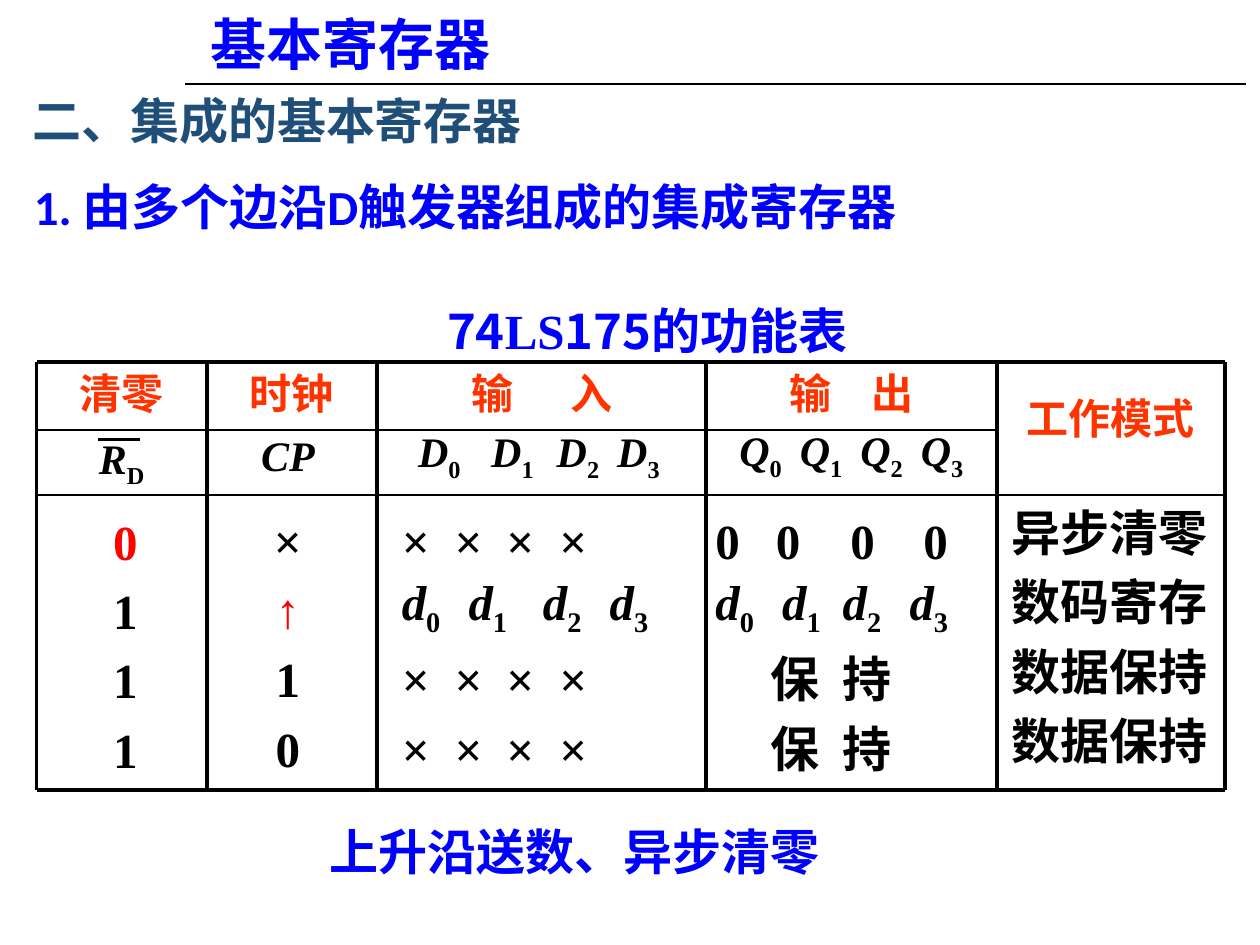
from dataclasses import dataclass
from lxml import etree
from pptx import Presentation
from pptx import util as u
from pptx.dml.color import RGBColor
from pptx.enum import shapes, text
from pptx.oxml import ns

"""Build the slide on integrated basic registers and their function table."""

SCALE = 9144
BLUE = RGBColor(0x00, 0x00, 0xFF)
NAVY = RGBColor(0x1F, 0x4E, 0x79)
ORANGE = RGBColor(0xFF, 0x33, 0x00)
RED = RGBColor(0xFF, 0x00, 0x00)
BLACK = RGBColor(0x00, 0x00, 0x00)
SERIF, SANS, LATIN = "Times New Roman", "Noto Sans CJK SC", "Calibri"
LEFT, CENTER = text.PP_ALIGN.LEFT, text.PP_ALIGN.CENTER
TOP, MIDDLE, BOTTOM = (
    text.MSO_ANCHOR.TOP, text.MSO_ANCHOR.MIDDLE, text.MSO_ANCHOR.BOTTOM)


@dataclass(frozen=True)
class Row:
    """One paragraph; cells sit on tab stops and "_" starts a subscript."""
    cells: tuple[str, ...]
    stops: tuple[int, ...] = ()
    color: RGBColor = BLACK
    italic: bool = False


@dataclass(frozen=True)
class Block:
    """One text box with its rows and shared type style."""
    left: int
    top: int
    width: int
    height: int
    rows: tuple[Row, ...]
    size: int = 28
    font: str = SERIF
    align: text.PP_ALIGN = LEFT
    anchor: text.MSO_ANCHOR = TOP
    pitch: float | u.Length | None = None
    after: int = 0


@dataclass(frozen=True)
class Rule:
    """One straight black line."""
    x1: int
    y1: int
    x2: int
    y2: int
    weight: float


def px(value: int) -> u.Emu:
    return u.Emu(value * SCALE)


def add_tabs(para, stops: tuple[int, ...]) -> None:
    tabs = etree.Element(ns.qn("a:tabLst"))
    for stop in stops:
        etree.SubElement(tabs, ns.qn("a:tab"), pos=str(px(stop)), algn="l")
    props = para._p.get_or_add_pPr()
    defaults = props.find(ns.qn("a:defRPr"))
    defaults.addprevious(tabs)


def add_span(para, words: str, italic: bool, subscript: bool = False):
    span = para.add_run()
    span.text = words
    if italic:
        span.font.italic = True
    if subscript:
        span._r.get_or_add_rPr().set("baseline", "-25000")
    return span


def fill_row(para, row: Row, block: Block) -> None:
    para.alignment = block.align
    para.space_after = u.Pt(block.after)
    if block.pitch:
        para.line_spacing = block.pitch
    para.font.size, para.font.name = u.Pt(block.size), block.font
    para.font.bold, para.font.color.rgb = True, row.color
    stops = tuple(stop for stop in row.stops if stop)
    if stops:
        add_tabs(para, stops)
    for index, cell in enumerate(row.cells):
        tabbed = bool(row.stops) and row.stops[index] > 0
        base, _, subscript = cell.partition("_")
        add_span(para, "\t" * tabbed + base, row.italic or bool(subscript))
        if subscript:
            add_span(para, subscript, False, True)


def add_block(slide, block: Block):
    box = slide.shapes.add_textbox(
        px(block.left), px(block.top), px(block.width), px(block.height))
    frame = box.text_frame
    frame.word_wrap, frame.vertical_anchor = True, block.anchor
    for index, row in enumerate(block.rows):
        para = frame.add_paragraph() if index else frame.paragraphs[0]
        fill_row(para, row, block)
    return frame


def add_rule(slide, rule: Rule) -> None:
    line = slide.shapes.add_connector(
        shapes.MSO_CONNECTOR.STRAIGHT,
        px(rule.x1), px(rule.y1), px(rule.x2), px(rule.y2))
    line.line.color.rgb, line.line.width = BLACK, u.Pt(rule.weight)
    etree.SubElement(line._element.spPr, ns.qn("a:effectLst"))


def label(left: int, top: int, width: int, height: int, row: Row,
          pitch: float | None = None) -> Block:
    align = LEFT if row.stops else CENTER
    return Block(left, top, width, height, (row,), 24, align=align, pitch=pitch)


def column(left: int, top: int, width: int, *rows: Row,
           align: text.PP_ALIGN = CENTER) -> Block:
    return Block(left, top, width, 234, rows, align=align,
                 pitch=u.Pt(33.6), after=6)


def signals(letter: str) -> tuple[str, ...]:
    return tuple(f"{letter}_{index}" for index in range(4))


CROSSES = Row(("×",) * 4, (0, 42, 83, 125))
HOLD = Row(("保", "持"), (44, 101))
ONE, MODE_HOLD = Row(("1",)), Row(("数据保持",))

HEADINGS = (
    Block(157, 11, 769, 55, (Row(("基本寄存器",), color=BLUE),), 32,
          anchor=BOTTOM),
    Block(16, 67, 557, 57, (Row(("二、集成的基本寄存器",), color=NAVY),),
          font=SANS),
    Block(17, 135, 787, 57,
          (Row(("1. 由多个边沿D触发器组成的集成寄存器",), color=BLUE),),
          font=LATIN),
    Block(252, 647, 439, 57, (Row(("上升沿送数、异步清零",), color=BLUE),),
          font=SANS),
)
LABELS = (
    label(29, 287, 135, 57, Row(("清零",), color=ORANGE)),
    label(164, 287, 135, 57, Row(("时钟",), color=ORANGE)),
    label(299, 287, 261, 57, Row(("输", "入"), (65, 144), ORANGE)),
    label(560, 287, 231, 57, Row(("输", "出"), (57, 122), ORANGE)),
    label(791, 287, 181, 106, Row(("工作模式",), color=ORANGE), 1.5),
    label(29, 338, 135, 50, Row(("R_D",))),
    label(161, 336, 135, 50, Row(("CP",), italic=True)),
    label(297, 333, 261, 50, Row(signals("D"), (25, 83, 135, 183))),
    label(560, 332, 231, 50, Row(signals("Q"), (17, 65, 113, 161))),
)
COLUMNS = (
    column(32, 401, 135, Row(("0",), color=RED), ONE, ONE, ONE),
    column(161, 400, 135, Row(("×",)), Row(("↑",), color=RED), ONE,
           Row(("0",))),
    column(309, 400, 261, CROSSES, Row(signals("d"), (0, 53, 112, 165)),
           CROSSES, CROSSES, align=LEFT),
    column(558, 400, 231, Row(("0",) * 4, (0, 48, 107, 165)),
           Row(signals("d"), (0, 53, 101, 154)), HOLD, HOLD, align=LEFT),
    column(790, 394, 181, Row(("异步清零",)), Row(("数码寄存",)),
           MODE_HOLD, MODE_HOLD),
)
CAPTION = Block(345, 222, 359, 79,
                (Row(("74", "LS", "175的功能表"), color=BLUE),),
                font=SANS, anchor=MIDDLE)
RULES = (
    Rule(147, 67, 989, 67, 1.25),
    *(Rule(29, y, 972, y, 2.25) for y in (287, 627)),
    *(Rule(x, 287, x, 627, 2.25) for x in (29, 164, 299, 560, 791, 972)),
    Rule(29, 341, 791, 341, 1),
    Rule(29, 393, 972, 393, 1),
    Rule(78, 349, 111, 349, 2),
)


def main() -> None:
    deck = Presentation()
    deck.slide_width, deck.slide_height = px(1000), px(750)
    slide = deck.slides.add_slide(deck.slide_layouts[6])
    for block in HEADINGS + LABELS + COLUMNS:
        add_block(slide, block)
    caption = add_block(slide, CAPTION)
    caption.paragraphs[0].runs[1].font.name = SERIF
    for rule in RULES:
        add_rule(slide, rule)
    deck.save("out.pptx")


if __name__ == "__main__":
    main()
